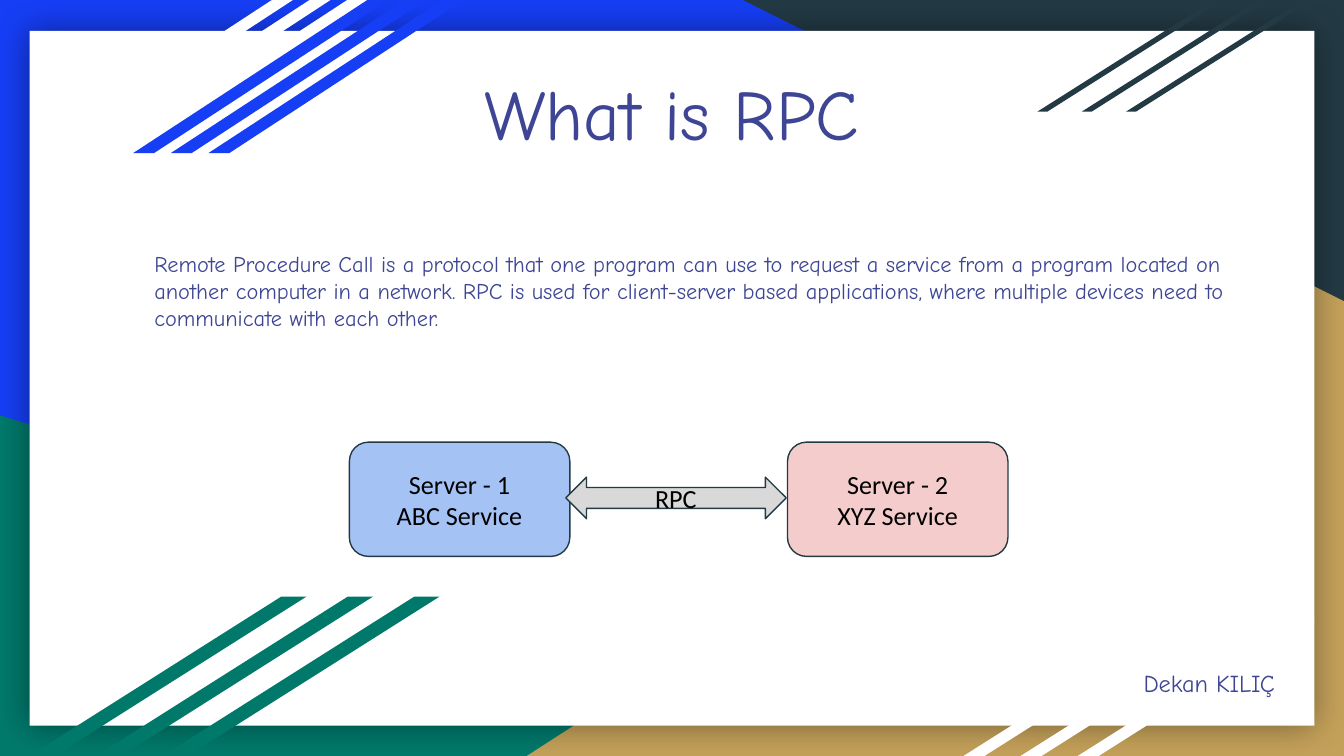
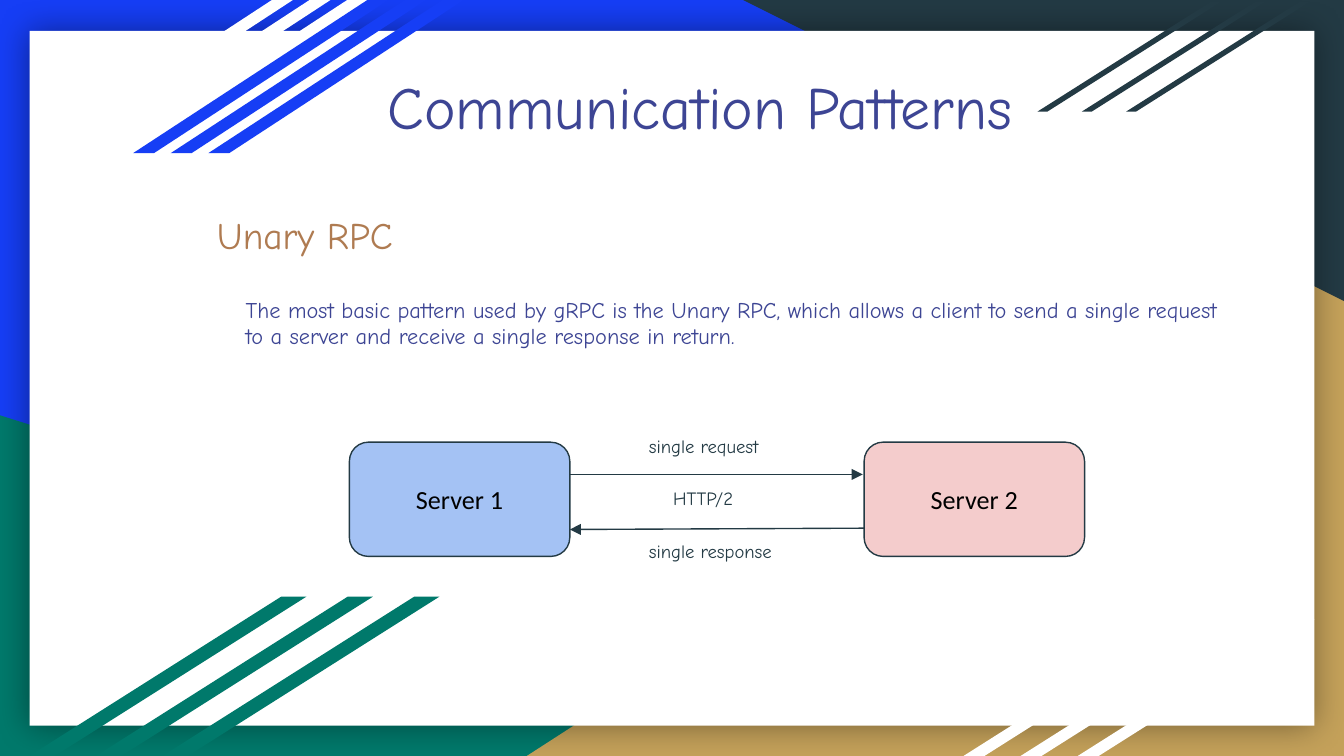
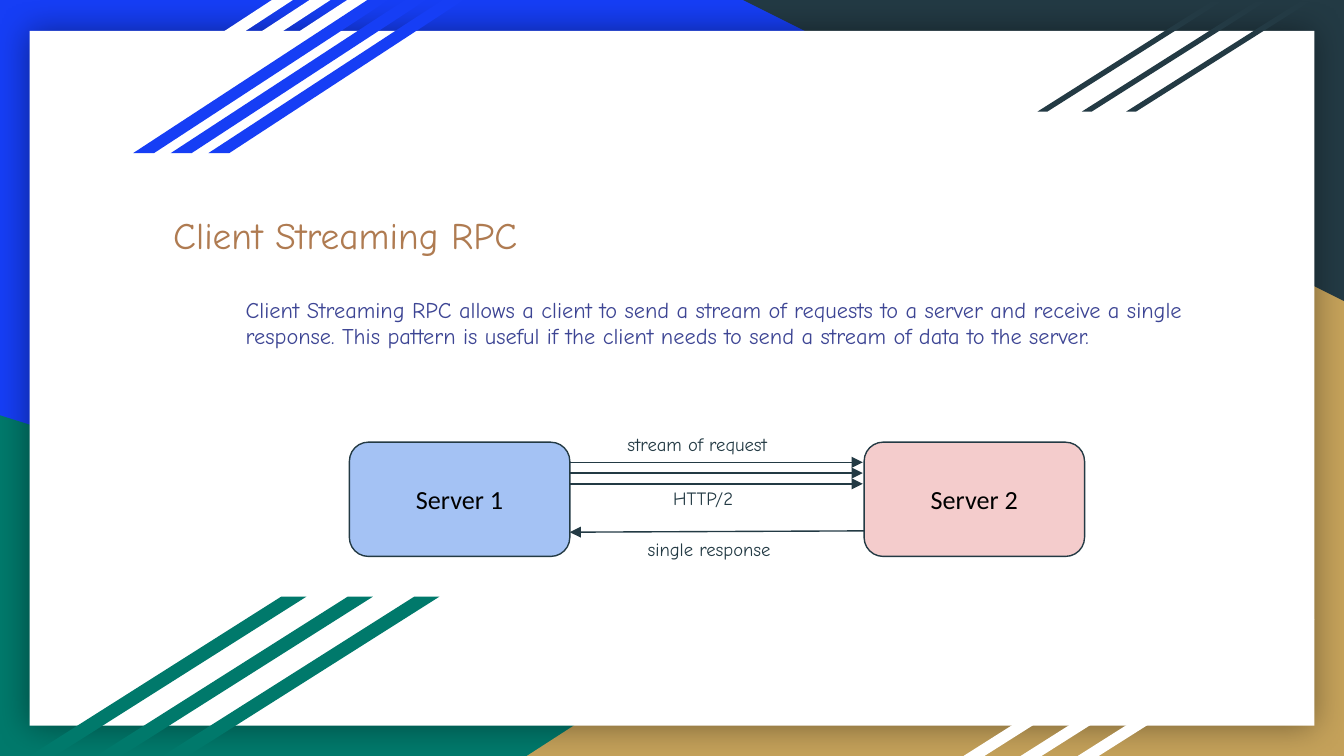
from dataclasses import dataclass

from lxml.etree import SubElement
from pptx import Presentation
from pptx.dml.color import RGBColor
from pptx.enum.shapes import MSO_CONNECTOR, MSO_SHAPE
from pptx.enum.text import MSO_ANCHOR, MSO_AUTO_SIZE, PP_ALIGN
from pptx.oxml.ns import qn
from pptx.util import Inches, Pt


@dataclass(frozen=True)
class TextStyle:
    size: float
    color: str
    font: str = "Comic Neue"


@dataclass(frozen=True)
class Theme:
    blue: str = "163EF5"
    green: str = "00796B"
    gold: str = "C4A15A"
    slate: str = "233A44"
    white: str = "FFFFFF"
    client: str = "A4C2F4"
    server: str = "F4CCCC"
    arrow: str = "D9D9D9"
    outline: float = 0.75
    title: TextStyle = TextStyle(38, "3D4594")
    long_title: TextStyle = TextStyle(32, "3D4594")
    heading: TextStyle = TextStyle(20, "AF7B51")
    author: TextStyle = TextStyle(13, "3D4594")
    body: TextStyle = TextStyle(12, "3D4594")
    label: TextStyle = TextStyle(10, "233A44")
    node: TextStyle = TextStyle(14, "000000", "Calibri")


THEME = Theme()
COLUMNS, ROWS = 100, 56.25
TITLE_ONLY = 5
NODE_TOP, NODE_WIDTH, NODE_HEIGHT = 32.9, 16.4, 8.5
CLIENT_LEFT, SERVER_LEFT = 26, 64.3
CLIENT_EDGE = CLIENT_LEFT + NODE_WIDTH


def grid(*cells):
    return [Inches(cell / 10) for cell in cells]


def add_text(frame, lines, style, align=PP_ALIGN.LEFT, indent=0):
    frame.word_wrap = True
    frame.margin_left = frame.margin_right = Inches(0.1)
    frame.margin_top = frame.margin_bottom = Inches(0.1)
    for index, line in enumerate(lines):
        para = frame.add_paragraph() if index else frame.paragraphs[0]
        para.alignment = align
        if indent:
            properties = para._p.get_or_add_pPr()
            properties.set("marL", str(grid(indent)[0]))
            properties.set("indent", "0")
        span = para.add_run()
        span.text = line
        span.font.size = Pt(style.size)
        span.font.name = style.font
        span.font.color.rgb = RGBColor.from_string(style.color)


def add_text_box(page, text, place, style, align=PP_ALIGN.LEFT, indent=0):
    box = page.shapes.add_textbox(*grid(*place))
    add_text(box.text_frame, [text], style, align, indent)
    box.text_frame.auto_size = MSO_AUTO_SIZE.SHAPE_TO_FIT_TEXT


def set_title(page, text, place, style):
    title = page.shapes.title
    title.left, title.top, title.width, title.height = grid(*place)
    add_text(title.text_frame, [text], style, PP_ALIGN.CENTER)
    title.text_frame.vertical_anchor = MSO_ANCHOR.TOP
    title.text_frame.auto_size = MSO_AUTO_SIZE.SHAPE_TO_FIT_TEXT


def add_filled(shapes, kind, place, color):
    shape = shapes.add_shape(kind, *grid(*place))
    shape.shadow.inherit = False
    shape.fill.solid()
    shape.fill.fore_color.rgb = RGBColor.from_string(color)
    shape.line.fill.background()
    return shape


def add_node(page, kind, lines, place, color):
    node = add_filled(page.shapes, kind, place, color)
    node.line.color.rgb = RGBColor.from_string(THEME.slate)
    node.line.width = Pt(THEME.outline)
    add_text(node.text_frame, lines, THEME.node, PP_ALIGN.CENTER)
    node.text_frame.vertical_anchor = MSO_ANCHOR.MIDDLE


def add_server(page, lines, left, color):
    place = (left, NODE_TOP, NODE_WIDTH, NODE_HEIGHT)
    add_node(page, MSO_SHAPE.ROUNDED_RECTANGLE, lines, place, color)


def add_arrow(page, start, end):
    arrow = page.shapes.add_connector(MSO_CONNECTOR.STRAIGHT, *grid(*start, *end))
    arrow.line.color.rgb = RGBColor.from_string(THEME.slate)
    arrow.line.width = Pt(THEME.outline)
    SubElement(arrow.line._get_or_add_ln(), qn("a:tailEnd"), type="triangle")
    SubElement(arrow.element.spPr, qn("a:effectLst"))


def add_stripes(page, place, step, slant, color):
    left, top, width, height = place
    group = page.shapes.add_group_shape()
    for index in reversed(range(3)):
        spot = (left + index * step, top, width, height)
        stripe = add_filled(group.shapes, MSO_SHAPE.PARALLELOGRAM, spot, color)
        stripe.adjustments[0] = slant


def add_panel(page):
    panel = add_filled(page.shapes, MSO_SHAPE.RECTANGLE, (2.2, 2.3, 95.6, 51.7), THEME.white)
    effects = panel.element.spPr.find(qn("a:effectLst"))
    shadow = SubElement(effects, qn("a:outerShdw"), blurRad=str(Pt(18)), dist="0",
                        dir="0", algn="ctr", rotWithShape="0")
    color = SubElement(shadow, qn("a:srgbClr"), val="000000")
    SubElement(color, qn("a:alpha"), val="40000")


def draw_frame(page):
    triangle = MSO_SHAPE.RIGHT_TRIANGLE
    add_filled(page.shapes, triangle, (0, 30.9, 80.6, 25.35), THEME.green)
    gold = add_filled(page.shapes, triangle, (39.2, 17, 60.8, 39.25), THEME.gold)
    gold.element.spPr.find(qn("a:xfrm")).set("flipH", "1")
    slate = add_filled(page.shapes, triangle, (55.3, 0, 44.7, 22.4), THEME.slate)
    slate.rotation = 180
    add_panel(page)
    add_stripes(page, (2.8, 0, 19, 11.4), 2.8, 1.53, THEME.white)
    add_stripes(page, (9.9, 0, 19, 11.4), 2.8, 1.53, THEME.blue)
    add_stripes(page, (77.2, 0.1, 13.7, 8.2), 3.3, 1.58, THEME.slate)
    add_stripes(page, (71.7, 46.1, 17.6, 10.15), 4.25, 1.58, THEME.white)
    add_stripes(page, (2.2, 44.4, 20.6, 11.85), 4.95, 1.58, THEME.green)


def prepare_layout(layout, page):
    for holder in list(layout.placeholders)[1:]:
        holder.element.getparent().remove(holder.element)
    layout.background.fill.solid()
    layout.background.fill.fore_color.rgb = RGBColor.from_string(THEME.blue)
    draw_frame(page)
    decorations = [shape for shape in page.shapes if not shape.is_placeholder]
    for position, shape in enumerate(decorations, 2):
        layout.shapes.element.insert(position, shape.element)


def build_definition(page):
    set_title(page, "What is RPC", (27.5, 4.2, 45, 8.4), THEME.title)
    add_text_box(page, "Dekan KILIÇ", (84.1, 48.7, 13.1, 4.2), THEME.author)
    add_text_box(
        page,
        "Remote Procedure Call is a protocol that one program can use to request a service "
        "from a program located on another computer in a network. RPC is used for "
        "client-server based applications, where multiple devices need to communicate "
        "with each other.",
        (0.5, 17.6, 94.7, 8.1), THEME.body, indent=10)
    add_server(page, ["Server - 1", "ABC Service"], CLIENT_LEFT, THEME.client)
    add_server(page, ["Server - 2", "XYZ Service"], 58.6, THEME.server)
    add_node(page, MSO_SHAPE.LEFT_RIGHT_ARROW, ["RPC"],
             (42.1, 35.5, NODE_WIDTH, 3.1), THEME.arrow)


def build_pattern(page, text, request_rows, response_row, labels):
    add_text_box(page, text, (12.3, 21, 80.3, 6.1), THEME.body, indent=5)
    add_server(page, ["Server 1"], CLIENT_LEFT, THEME.client)
    add_server(page, ["Server 2"], SERVER_LEFT, THEME.server)
    for row in request_rows:
        add_arrow(page, (CLIENT_EDGE, row), (SERVER_LEFT - 0.1, row))
    add_arrow(page, (SERVER_LEFT, response_row), (CLIENT_EDGE, response_row + 0.1))
    for label, left, top in labels:
        add_text_box(page, label, (left, top, 16.9, 3.7), THEME.label)
    add_text_box(page, "HTTP/2", (49.1, 35.4, 10.2, 3.7), THEME.label)


def build_unary(page):
    set_title(page, "Communication Patterns", (24.7, 4.2, 54.8, 7.4), THEME.long_title)
    add_text_box(page, "Unary RPC", (8.4, 14.8, 28.6, 5.4), THEME.heading, PP_ALIGN.CENTER)
    build_pattern(
        page,
        "The most basic pattern used by gRPC is the Unary RPC, which allows a client to send "
        "a single request to a server and receive a single response in return.",
        [35.3], 39.3,
        [("single request", 47.3, 31.5), ("single response", 47.3, 39.3)])


def build_client_streaming(page):
    set_title(page, "Client Streaming RPC", (8.4, 14.8, 34.6, 5.4), THEME.heading)
    build_pattern(
        page,
        "Client Streaming RPC allows a client to send a stream of requests to a server and "
        "receive a single response. This pattern is useful if the client needs to send a "
        "stream of data to the server.",
        [34.4, 35.2, 36], 39.5,
        [("stream of request", 45.7, 31.4), ("single response", 47.2, 39.2)])


def main():
    deck = Presentation()
    deck.slide_width, deck.slide_height = grid(COLUMNS, ROWS)
    layout = deck.slide_layouts[TITLE_ONLY]
    pages = [deck.slides.add_slide(layout) for _ in range(3)]
    prepare_layout(layout, pages[0])
    for build, page in zip((build_definition, build_unary, build_client_streaming), pages):
        build(page)
    deck.save("out.pptx")


if __name__ == "__main__":
    main()
